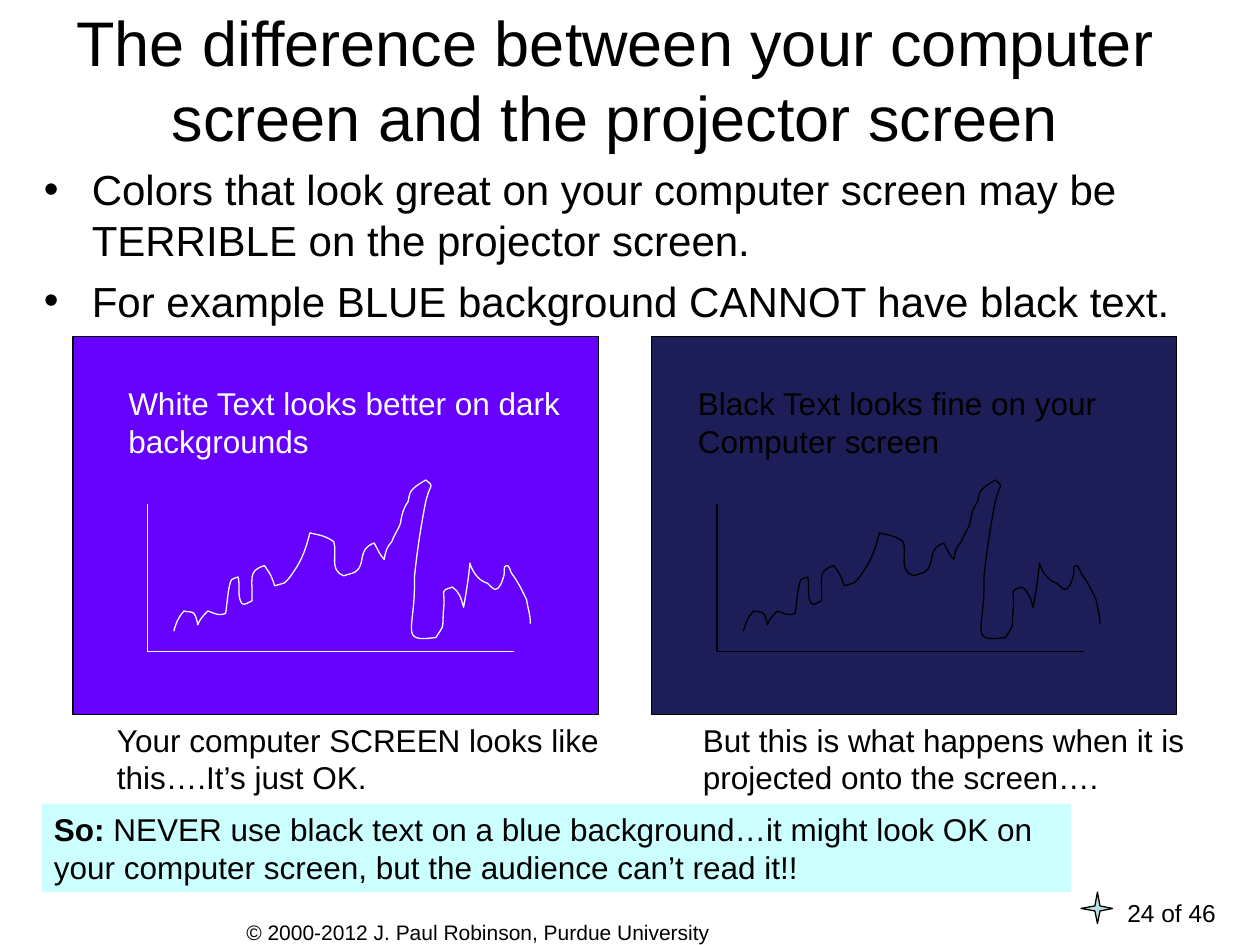
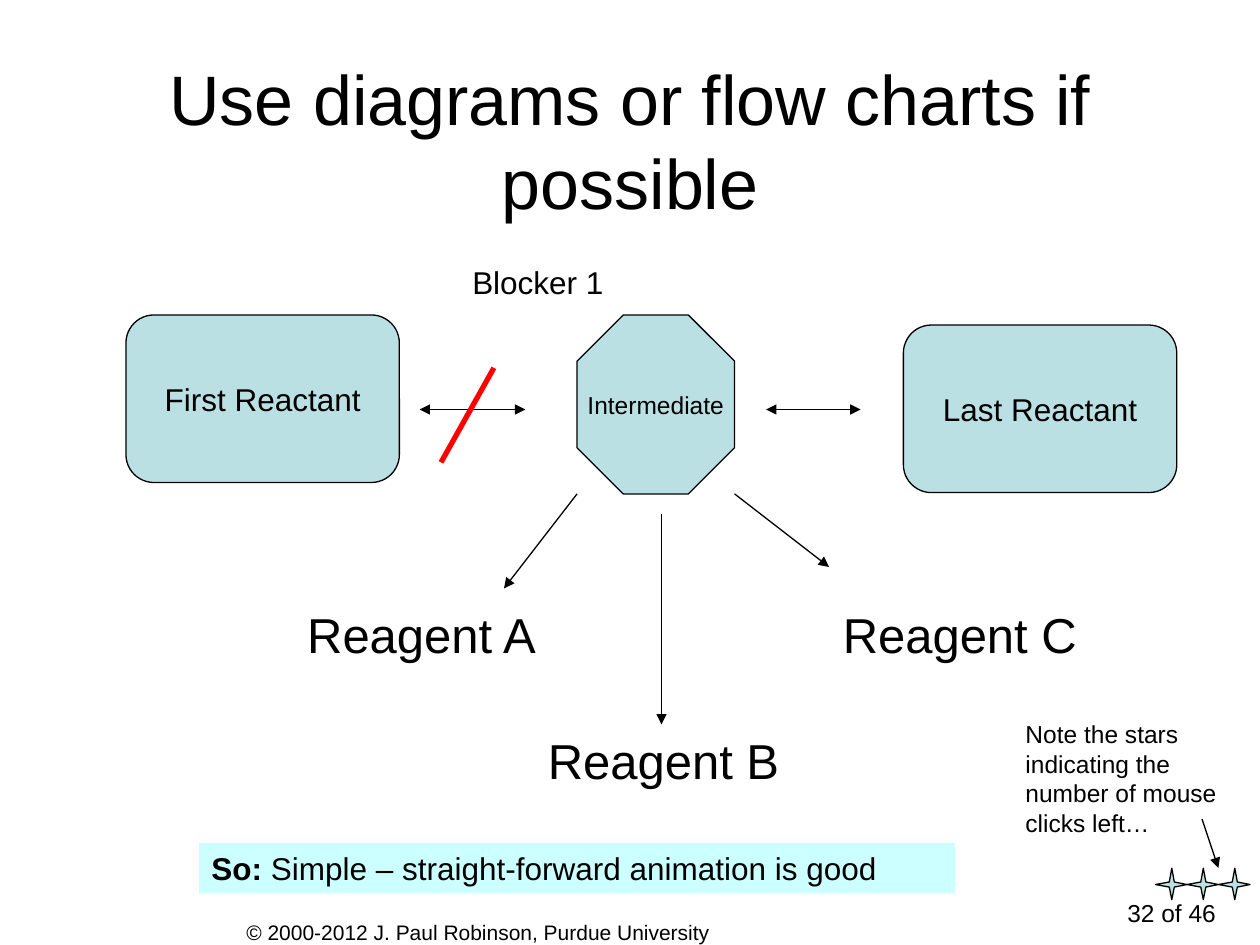
from lxml import etree
from pptx import Presentation
from pptx.dml.color import RGBColor
from pptx.enum.shapes import MSO_CONNECTOR, MSO_SHAPE
from pptx.enum.text import MSO_ANCHOR, MSO_AUTO_SIZE, PP_ALIGN
from pptx.oxml.ns import qn
from pptx.util import Inches, Pt

LEFT, MID, RIGHT = PP_ALIGN.LEFT, PP_ALIGN.CENTER, PP_ALIGN.RIGHT
RECT, ROUND, OCTAGON = MSO_SHAPE.RECTANGLE, MSO_SHAPE.ROUNDED_RECTANGLE, MSO_SHAPE.OCTAGON
STRAIGHT = MSO_CONNECTOR.STRAIGHT
TOP, MIDDLE = MSO_ANCHOR.TOP, MSO_ANCHOR.MIDDLE

FONT = "Arial"
HEX = {"black": "000000", "white": "FFFFFF", "teal": "BBE0E3", "note": "CCFFFF",
       "violet": "6600FF", "navy": "1D1D57", "red": "FF0000"}
WIDE, HIGH = 10, 7.5
CREDIT = "© 2000-2012 J. Paul Robinson, Purdue University"
PAGES = 46
CENT = Inches(0.01)
# Star outline in hundredths of an inch
STAR = [(0, 13), (11, 11), (13, 0), (15, 11), (25, 13), (15, 15), (13, 25), (11, 15)]

# Content: screen comparison
COLORS = {
    "page": 24,
    "title": ("The difference between your computer screen and the projector screen",
              (-0.12, 0, 10, 1.25), 36),
    "so": ("NEVER use black text on a blue background…it might look OK on your "
           "computer screen, but the audience can’t read it!!", (0.33, 6.38, 8.17, 0.7)),
    "stars": (1, 8.58, 7.08),
}
BULLETS = [
    "Colors that look great on your computer screen may be TERRIBLE on the projector screen.",
    "For example BLUE background CANNOT have black text.",
]
# Panel left, fill, ink, inner left, inner text, caption left, caption
PANELS = [
    (5.17, "navy", "black", 5.44, "Black Text looks fine on your\nComputer screen",
     5.48, "But this is what happens when it is\nprojected onto the screen…."),
    (0.58, "violet", "white", 0.92, "White Text looks better on dark\nbackgrounds",
     0.83, "Your computer SCREEN looks like\nthis….It’s just OK."),
]
# Trace as cubic curves in hundredths of an inch: two handles and an end
START = (0, 120)
TRACE = [
    (2, 113, 3, 110, 8, 104), (11, 105, 14, 104, 16, 106),
    (18, 108, 19, 115, 19, 115), (21, 110, 23, 108, 27, 104),
    (33, 106, 35, 108, 41, 106), (42, 104, 43, 82, 46, 79),
    (47, 78, 49, 78, 51, 77), (53, 84, 50, 92, 54, 98),
    (56, 100, 59, 97, 62, 96), (63, 79, 58, 72, 72, 68),
    (73, 70, 75, 72, 76, 74), (78, 77, 80, 84, 80, 84),
    (82, 83, 85, 83, 87, 82), (90, 81, 95, 73, 95, 73),
    (102, 63, 105, 54, 108, 42), (116, 44, 120, 44, 127, 49),
    (130, 59, 123, 72, 135, 76), (138, 75, 142, 74, 144, 73),
    (153, 67, 145, 55, 159, 50), (162, 55, 163, 59, 167, 63),
    (168, 57, 169, 53, 173, 49), (175, 43, 178, 40, 180, 34),
    (181, 27, 182, 23, 186, 17), (187, 12, 187, 9, 191, 6),
    (193, 4, 200, 0, 200, 0), (207, 6, 204, 1, 200, 17),
    (196, 37, 193, 57, 191, 77), (192, 120, 178, 129, 208, 125),
    (215, 114, 213, 120, 214, 104), (216, 85, 210, 89, 221, 85),
    (227, 89, 228, 94, 230, 101), (232, 90, 234, 78, 235, 66),
    (237, 73, 242, 80, 249, 82), (255, 88, 256, 89, 260, 82),
    (261, 80, 261, 78, 262, 76), (263, 73, 261, 68, 264, 68),
    (266, 67, 267, 72, 268, 74), (274, 82, 276, 87, 280, 95),
    (281, 102, 283, 107, 283, 114),
]
DEPTH = 130

# Content: reaction flow
FLOW = {
    "page": 32,
    "title": ("Use diagrams or flow charts if possible", (0.5, 0.48, 9, 1.25), 40),
    "so": ("Simple – straight-forward animation is good", (1.58, 6.69, 6, 0.4)),
    "stars": (3, 9.17, 6.89),
}
NODES = [
    ("First Reactant", ROUND, 0.167, (1, 2.5, 2.17, 1.33), 18),
    ("Intermediate", OCTAGON, 0.293, (4.58, 2.5, 1.25, 1.42), 14),
    ("Last Reactant", ROUND, 0.167, (7.17, 2.58, 2.17, 1.33), 18),
]
# From, to, arrowheads
ARROWS = [
    ((3.33, 3.25), (4.17, 3.25), ("head", "tail")),
    ((6.08, 3.25), (6.83, 3.25), ("head", "tail")),
    ((4.58, 3.92), (4, 4.67), ("tail",)),
    ((5.25, 4.08), (5.25, 5.75), ("tail",)),
    ((5.83, 3.92), (6.58, 4.5), ("tail",)),
]
BLOCK = ((3.92, 2.92), (3.5, 3.67))
LABELS = [
    ("Reagent A", (2.34, 4.75, 2.03, 0.57), 28),
    ("Reagent B", (4.25, 5.75, 2.03, 0.57), 28),
    ("Reagent C", (6.59, 4.75, 2.05, 0.57), 28),
    ("Blocker 1", (3.65, 2.04, 1.24, 0.4), 18),
]
HINT = ("Note the stars indicating the number of mouse clicks left…", (8.04, 5.66, 1.88, 1.04), 14)
POINT = ((9.54, 6.5), (9.67, 6.89))


# Helpers
def tint(name):
    return RGBColor.from_string(HEX[name])


def inch(box):
    return [Inches(n) for n in box]


def style(para, size, ink="black", align=LEFT):
    para.alignment = align
    font = para.font
    font.name, font.size, font.color.rgb = FONT, Pt(size), tint(ink)


def write(frame, text, size, ink="black", align=LEFT, wrap=True, anchor=TOP):
    frame.word_wrap, frame.vertical_anchor = wrap, anchor
    frame.auto_size = MSO_AUTO_SIZE.NONE
    frame.text = text
    for para in frame.paragraphs:
        style(para, size, ink, align)


def label(slide, text, box, size, **look):
    write(slide.shapes.add_textbox(*inch(box)).text_frame, text, size, **look)


def edge(shape, ink, width=0.75):
    shape.line.color.rgb, shape.line.width = tint(ink), Pt(width)


def paint(shape, fill=None, ink=None):
    shape.shadow.inherit = False
    if fill:
        shape.fill.solid()
        shape.fill.fore_color.rgb = tint(fill)
    else:
        shape.fill.background()
    if ink:
        edge(shape, ink)
    else:
        shape.line.fill.background()


def block(slide, kind, box, fill, ink=None, bend=None):
    shape = slide.shapes.add_shape(kind, *inch(box))
    paint(shape, fill, ink)
    if bend is not None:
        shape.adjustments[0] = bend
    return shape


def link(slide, start, end, ink="black", width=0.75, tips=()):
    line = slide.shapes.add_connector(STRAIGHT, *inch(start + end))
    edge(line, ink, width)
    props = line.element.spPr
    for tip in tips:
        etree.SubElement(props.find(qn("a:ln")), qn(f"a:{tip}End"), type="triangle")
    etree.SubElement(props, qn("a:effectLst"))


def outline(slide, spots, left, top, close):
    pen = slide.shapes.build_freeform(*spots[0], scale=CENT)
    pen.add_line_segments(spots[1:], close=close)
    return pen.convert_to_shape(Inches(left), Inches(top))


def trace(slide, left, top, ink):
    shape = outline(slide, [START] + [curve[4:] for curve in TRACE], left, top, False)
    paint(shape, ink=ink)
    shape.height = DEPTH * CENT
    track = next(shape.element.iter(qn("a:path")))
    track.set("h", str(DEPTH))
    # Turn each straight step into a cubic curve
    for step, curve in zip(track.findall(qn("a:lnTo")), TRACE):
        step.clear()
        bend = etree.Element(qn("a:cubicBezTo"))
        for x, y in zip(curve[::2], curve[1::2]):
            etree.SubElement(bend, qn("a:pt"), x=str(x), y=str(y))
        track.replace(step, bend)


# Shared frame: footer and title below, conclusion and stars above
def begin(deck, data):
    slide = deck.slides.add_slide(deck.slide_layouts[5])
    text, box, size = data["title"]
    title = slide.shapes.title
    title.left, title.top, title.width, title.height = inch(box)
    write(title.text_frame, text, size, align=MID, anchor=MIDDLE)
    label(slide, CREDIT, (1.67, 7.25, 4.25, 0.18), 12, align=MID)
    label(slide, f"{data['page']} of {PAGES}", (7.42, 7.08, 2.33, 0.33), 14, align=RIGHT)
    return slide


def finish(slide, data):
    text, box = data["so"]
    frame = block(slide, RECT, box, "note").text_frame
    write(frame, "So:", 18)
    para = frame.paragraphs[0]
    para.runs[0].font.bold = True
    para.add_run().text = " " + text

    count, left, top = data["stars"]
    for n in range(count):
        paint(outline(slide, STAR, left + n * 0.25, top, True), "teal", "black")


def compare(deck):
    slide = begin(deck, COLORS)
    frame = slide.shapes.add_textbox(*inch((0.25, 1.25, 9.42, 5.12))).text_frame
    frame.word_wrap = True
    frame.text = "\n".join(BULLETS)
    for n, para in enumerate(frame.paragraphs):
        props = para._p.get_or_add_pPr()
        props.set("marL", str(Inches(0.38)))
        props.set("indent", str(-Inches(0.38)))
        etree.SubElement(props, qn("a:buFont"), typeface=FONT)
        etree.SubElement(props, qn("a:buChar"), char="•")
        para.space_before = Pt(6 if n else 0)
        style(para, 24)

    for left, fill, ink, inner, text, under, caption in PANELS:
        block(slide, RECT, (left, 2.67, 4.17, 3), fill, "black")
        label(slide, text, (inner, 3, 3.66, 0.7), 18, ink=ink, wrap=False)
        axis = inner + 0.25
        link(slide, (axis, 4), (axis, 5.17), ink)
        link(slide, (axis, 5.17), (axis + 2.91, 5.17), ink)
        trace(slide, inner + 0.46, 3.81, ink)
        label(slide, caption, (under, 5.67, 4.05, 0.7), 18, wrap=False)
    finish(slide, COLORS)


def react(deck):
    slide = begin(deck, FLOW)
    for text, kind, bend, box, size in NODES:
        node = block(slide, kind, box, "teal", "black", bend)
        write(node.text_frame, text, size, align=MID, wrap=False, anchor=MIDDLE)
    for start, end, tips in ARROWS:
        link(slide, start, end, tips=tips)
    link(slide, *BLOCK, ink="red", width=3)
    for text, box, size in LABELS:
        label(slide, text, box, size, wrap=False)
    finish(slide, FLOW)
    label(slide, *HINT)
    link(slide, *POINT, tips=("tail",))


def main():
    deck = Presentation()
    deck.slide_width, deck.slide_height = Inches(WIDE), Inches(HIGH)
    compare(deck)
    react(deck)
    deck.save("out.pptx")


if __name__ == "__main__":
    main()
